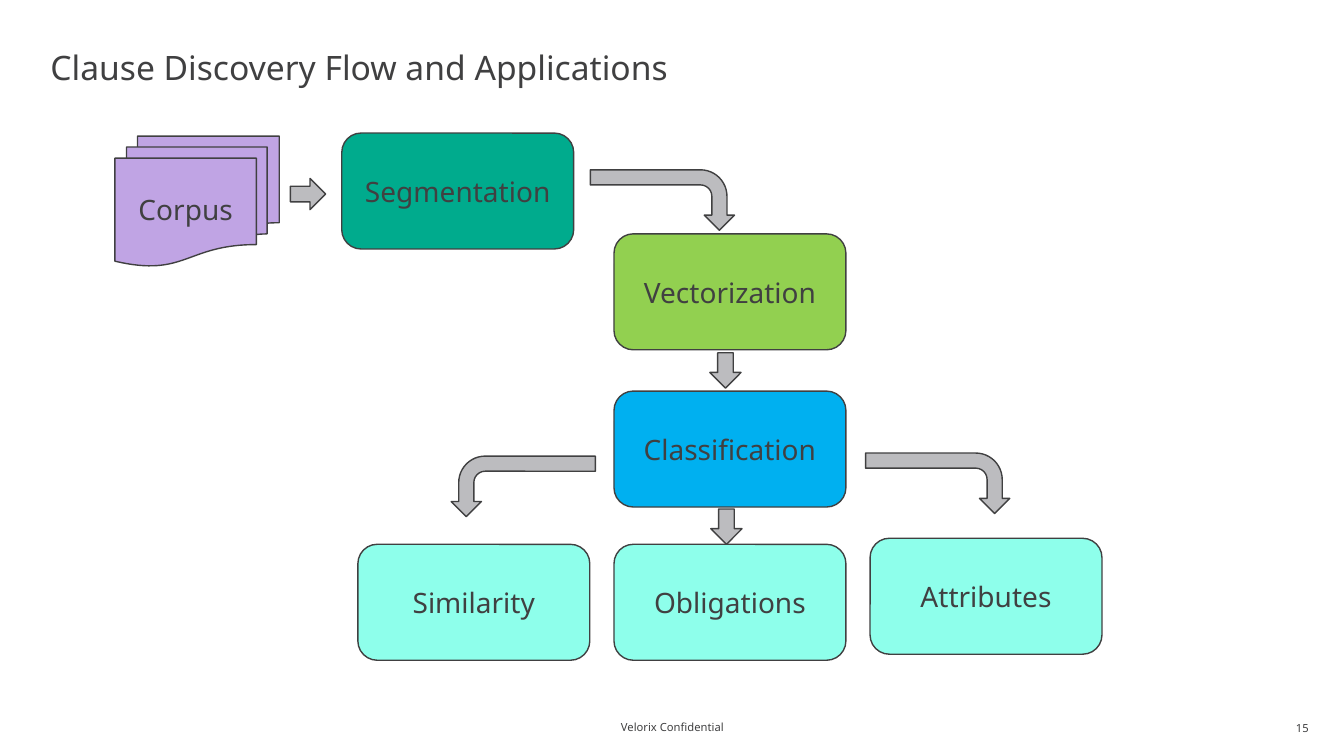
"""Build the clause discovery flow slide."""
from dataclasses import dataclass

from pptx import Presentation
from pptx.dml.color import RGBColor
from pptx.enum.shapes import MSO_SHAPE
from pptx.enum.text import MSO_ANCHOR, PP_ALIGN
from pptx.util import Inches, Pt

FONT = "Noto Sans"
COLORS = {
    "ink": "404041",
    "gray": "BCBCBF",
    "purple": "C0A4E4",
    "teal": "00AB8D",
    "green": "92D050",
    "blue": "00B0F0",
    "mint": "8EFFEB",
}
STEP_W, STEP_H = 2.3, 1.15
LEFT, MID, RIGHT = (6.09 + 2.54 * col for col in (-1, 0, 1))
DOC = MSO_SHAPE.FLOWCHART_MULTIDOCUMENT
STEP = MSO_SHAPE.ROUNDED_RECTANGLE


@dataclass
class Node:
    text: str
    left: float
    top: float
    color: str
    width: float = STEP_W
    height: float = STEP_H
    kind: MSO_SHAPE = STEP


@dataclass
class Arrow:
    left: float
    top: float
    turn: int = 90
    bent: bool = False
    flip: bool = False


@dataclass
class Label:
    text: str
    left: float
    top: float
    width: float
    height: float
    size: int
    align: PP_ALIGN
    inset: tuple = (0, 0, 0, 0)
    wrap: bool = True
    space: float = 1.0


NODES = [
    Node("Corpus", 1.14, 1.35, "purple", 1.63, 1.29, DOC),
    Node("Segmentation", 3.39, 1.32, "teal"),
    Node("Vectorization", MID, 2.32, "green"),
    Node("Classification", MID, 3.88, "blue"),
    Node("Similarity", LEFT, 5.4, "mint"),
    Node("Obligations", MID, 5.4, "mint"),
    Node("Attributes", RIGHT, 5.34, "mint"),
]
ARROWS = [
    Arrow(2.88, 1.77, turn=0),
    Arrow(6.27, 1.27, bent=True),
    Arrow(7.02, 3.52),
    Arrow(7.03, 5.07),
    Arrow(9, 4.08, bent=True),
    Arrow(4.89, 4.11, bent=True, flip=True),
]
LABELS = [
    Label("Clause Discovery Flow and Applications", 0.5, 0.6, 11.3, 0.6, 24,
          PP_ALIGN.LEFT, (0, 0, 0, 0.41), space=0.9),
    Label("15", 12.83, 7.1, 0.15, 0.24, 8, PP_ALIGN.RIGHT,
          (0, 0.05, 0, 0.05), wrap=False),
    Label("Velorix Confidential", 4.42, 7.09, 4.5, 0.24, 8, PP_ALIGN.CENTER,
          (0.1, 0.05, 0.1, 0.05)),
]


def tint(name: str) -> RGBColor:
    return RGBColor.from_string(COLORS[name])


def write(frame, text: str, size: int, align: PP_ALIGN):
    frame.text = text
    frame.vertical_anchor = MSO_ANCHOR.MIDDLE
    line = frame.paragraphs[0]
    line.alignment = align
    font = line.runs[0].font
    font.name, font.size = FONT, Pt(size)
    font.color.rgb = tint("ink")
    return line


def add_shape(slide, kind: MSO_SHAPE, box: tuple, color: str):
    shape = slide.shapes.add_shape(kind, *map(Inches, box))
    shape.shadow.inherit = False
    shape.fill.solid()
    shape.fill.fore_color.rgb = tint(color)
    shape.line.color.rgb = tint("ink")
    shape.line.width = Pt(1)
    return shape


def draw_node(slide, node: Node) -> None:
    box = (node.left, node.top, node.width, node.height)
    shape = add_shape(slide, node.kind, box, node.color)
    shape.text_frame.word_wrap = True
    write(shape.text_frame, node.text, 20, PP_ALIGN.CENTER)


def draw_arrow(slide, arrow: Arrow) -> None:
    kind = MSO_SHAPE.BENT_ARROW if arrow.bent else MSO_SHAPE.RIGHT_ARROW
    size = (0.6, 1.43) if arrow.bent else (0.35, 0.31)
    shape = add_shape(slide, kind, (arrow.left, arrow.top, *size), "gray")
    shape.rotation = arrow.turn
    if arrow.flip:
        shape.element.spPr.xfrm.set("flipV", "1")


def draw_label(slide, label: Label) -> None:
    box = (label.left, label.top, label.width, label.height)
    frame = slide.shapes.add_textbox(*map(Inches, box)).text_frame
    frame.word_wrap = label.wrap
    (frame.margin_left, frame.margin_top,
     frame.margin_right, frame.margin_bottom) = map(Inches, label.inset)
    line = write(frame, label.text, label.size, label.align)
    line.line_spacing = label.space


def main() -> None:
    deck = Presentation()
    deck.slide_width, deck.slide_height = Inches(13.33), Inches(7.5)
    slide = deck.slides.add_slide(deck.slide_layouts[6])
    for label in LABELS:
        draw_label(slide, label)
    for node in NODES:
        draw_node(slide, node)
    for arrow in ARROWS:
        draw_arrow(slide, arrow)
    deck.save("out.pptx")


if __name__ == "__main__":
    main()
